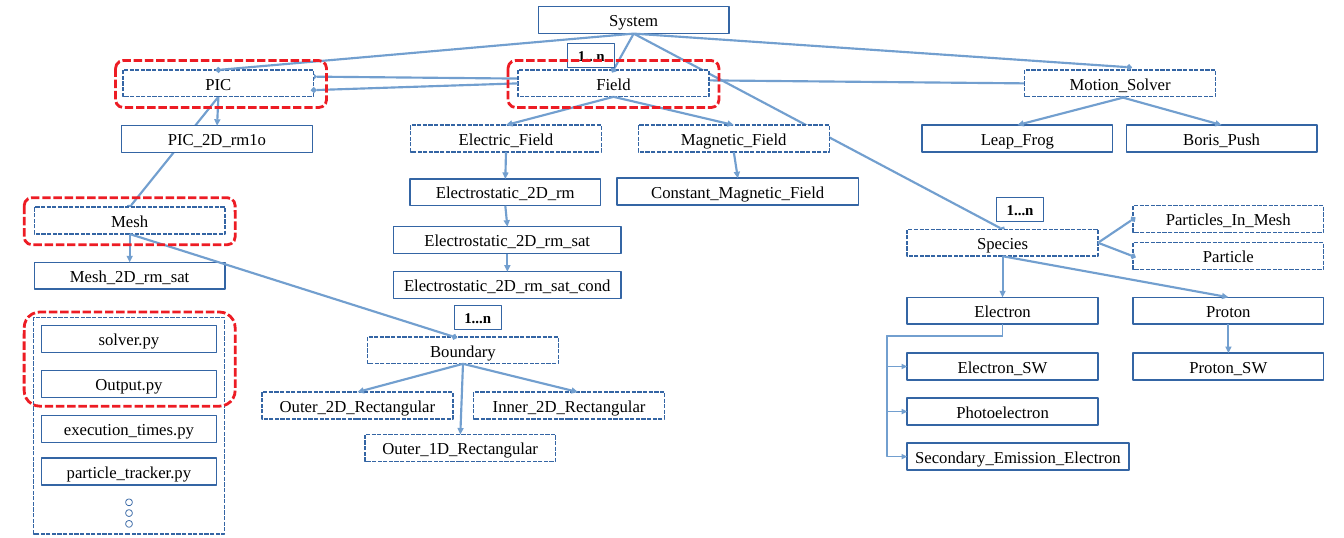
from lxml.etree import SubElement
from pptx import Presentation
from pptx.dml.color import RGBColor
from pptx.enum.dml import MSO_LINE
from pptx.enum.shapes import MSO_CONNECTOR, MSO_SHAPE
from pptx.enum.text import MSO_ANCHOR, PP_ALIGN
from pptx.oxml.ns import qn
from pptx.util import Pt

PX = 9144
WHITE = RGBColor(0xFF, 0xFF, 0xFF)
BLACK = RGBColor(0x00, 0x00, 0x00)
BORDER = RGBColor(0x34, 0x65, 0xA4)
ARROW = RGBColor(0x72, 0x9F, 0xCF)
RED = RGBColor(0xED, 0x1C, 0x24)

BOX_WIDTH, BOX_HEIGHT = 284, 40
TOP, LEFT, BOTTOM, RIGHT = range(4)

ABSTRACT_CLASSES = [
    ("Mesh", 51, 308), ("PIC", 183, 104), ("Species", 1350, 341),
    ("Particles_In_Mesh", 1686, 306), ("Particle", 1686, 361),
    ("Field", 771, 104), ("Electric_Field", 611, 186),
    ("Magnetic_Field", 950, 186), ("Motion_Solver", 1525, 104),
    ("Boundary", 547, 501), ("Outer_2D_Rectangular", 390, 583),
    ("Inner_2D_Rectangular", 705, 583), ("Outer_1D_Rectangular", 543, 646),
]
CONCRETE_CLASSES = [
    ("System", 801, 10), ("Mesh_2D_rm_sat", 51, 390),
    ("PIC_2D_rm1o", 181, 187), ("Electron", 1350, 442),
    ("Proton", 1686, 442), ("Electron_SW", 1350, 525),
    ("Proton_SW", 1686, 525), ("Electrostatic_2D_rm", 610, 266),
    ("Electrostatic_2D_rm_sat", 586, 337, 338),
    ("Electrostatic_2D_rm_sat_cond", 586, 404, 338),
    ("Constant_Magnetic_Field", 918, 265, 360),
    ("Leap_Frog", 1372, 186), ("Boris_Push", 1676, 186),
    ("Photoelectron", 1350, 592), ("Secondary_Emission_Electron", 1350, 659, 330),
]
FILES = [("solver.py", 62, 484, 260), ("Output.py", 62, 551, 260),
         ("execution_times.py", 62, 618, 260), ("particle_tracker.py", 62, 681, 260)]
FILE_PANEL = (50, 472, 284, 322)
DOTS = [(187, 742 + 16 * step, 10, 10) for step in range(3)]
COUNTS = [(676, 454), (845, 65), (1483, 293)]
HIGHLIGHTS = [(172, 90, 314, 70), (36, 294, 314, 70),
              (756, 90, 314, 70), (36, 464, 314, 140)]

BACK_LINKS = [
    ("PIC", BOTTOM, "Mesh", TOP),
    ("System", BOTTOM, "Species", TOP),
    ("Motion_Solver", LEFT, (467, 114), None),
]
PART_LINKS = [
    ("System", BOTTOM, "PIC", TOP),
    ("System", BOTTOM, "Field", TOP),
    ("System", BOTTOM, (1680, 100), None),
    ("Field", LEFT, (467, 134), None),
    ("Mesh", BOTTOM, (676, 501), None),
    ("Species", RIGHT, "Particles_In_Mesh", LEFT),
    ("Species", RIGHT, "Particle", LEFT),
]
CHILD_LINKS = [(parent, BOTTOM, child, TOP) for parent, child in [
    ("PIC", "PIC_2D_rm1o"), ("Mesh", "Mesh_2D_rm_sat"),
    ("Field", "Electric_Field"), ("Field", "Magnetic_Field"),
    ("Boundary", "Outer_2D_Rectangular"), ("Boundary", "Outer_1D_Rectangular"),
    ("Electric_Field", "Electrostatic_2D_rm"),
    ("Electrostatic_2D_rm", "Electrostatic_2D_rm_sat"),
    ("Electrostatic_2D_rm_sat", "Electrostatic_2D_rm_sat_cond"),
    ("Magnetic_Field", "Constant_Magnetic_Field"),
    ("Species", "Electron"), ("Species", "Proton"), ("Proton", "Proton_SW"),
    ("Motion_Solver", "Boris_Push"),
]] + [
    ("Boundary", BOTTOM, (860, 583), None),
    ((1676, 144), None, "Leap_Frog", TOP),
]
ELBOW_START = (1492, 482)
ELBOW_LEFT, ELBOW_DROP, ELBOW_OVERHANG = 1350, 18, 30
ELBOW_ENDS = [545, 612, 679]

deck = Presentation()
deck.slide_width, deck.slide_height = 2000 * PX, 800 * PX
page = deck.slides.add_slide(deck.slide_layouts[6])


def add_outline(kind, bounds, color, weight, fill=WHITE, dashed=False):
    shape = page.shapes.add_shape(kind, *(length * PX for length in bounds))
    shape.shadow.inherit = False
    if fill is None:
        shape.fill.background()
    else:
        shape.fill.solid()
        shape.fill.fore_color.rgb = fill
    shape.line.color.rgb = color
    shape.line.width = Pt(weight)
    if dashed:
        shape.line.dash_style = MSO_LINE.SQUARE_DOT
    return shape


def write(box, text, size, bold, frame_format):
    frame = box.text_frame
    for name, value in frame_format.items():
        setattr(frame, name, value)
    para = frame.paragraphs[0]
    para.alignment = PP_ALIGN.CENTER
    span = para.add_run()
    span.text = text
    for name, value in dict(name="Times New Roman", size=Pt(size), bold=bold).items():
        setattr(span.font, name, value)
    span.font.color.rgb = BLACK


def add_class(text, left, top, width=BOX_WIDTH, dashed=False):
    box = add_outline(MSO_SHAPE.RECTANGLE, (left, top, width, BOX_HEIGHT),
                      BORDER, 1.5, dashed=dashed)
    write(box, text, 17.9, False, dict(
        word_wrap=False, vertical_anchor=MSO_ANCHOR.MIDDLE,
        margin_left=11 * PX, margin_right=11 * PX,
        margin_top=6 * PX, margin_bottom=6 * PX))
    return box


def style_line(line, weight, head):
    line.line.color.rgb = ARROW
    line.line.width = Pt(weight)
    properties = line.element.spPr
    SubElement(properties.find(qn("a:ln")), qn("a:tailEnd"), type=head)
    SubElement(properties, qn("a:effectLst"))


def add_link(boxes, start, start_side, end, end_side, head):
    points = [(0, 0) if isinstance(spot, str) else spot for spot in (start, end)]
    line = page.shapes.add_connector(
        MSO_CONNECTOR.STRAIGHT, *(length * PX for point in points for length in point))
    if start_side is not None:
        line.begin_connect(boxes[start], start_side)
    if end_side is not None:
        line.end_connect(boxes[end], end_side)
    style_line(line, 2.3, head)
    return line


def add_elbow(end_y):
    start_x, start_y = ELBOW_START
    across, down = start_x - ELBOW_LEFT, end_y - start_y
    left = (start_x + ELBOW_LEFT - down) * PX // 2
    top = (start_y + end_y - across) * PX // 2
    line = page.shapes.add_connector(
        MSO_CONNECTOR.ELBOW, left, top, left + down * PX, top + across * PX)
    properties = line.element.spPr
    properties.find(qn("a:xfrm")).set("rot", "5400000")
    geometry = properties.find(qn("a:prstGeom"))
    geometry.set("prst", "bentConnector4")
    ratios = (ELBOW_DROP / down, (across + ELBOW_OVERHANG) / across)
    for number, ratio in enumerate(ratios, 1):
        SubElement(geometry.find(qn("a:avLst")), qn("a:gd"),
                   name=f"adj{number}", fmla=f"val {round(ratio * 100000)}")
    style_line(line, 1.5, "triangle")


add_outline(MSO_SHAPE.RECTANGLE, FILE_PANEL, BORDER, 1.5, dashed=True)
boxes = {}
for entries, dashed in ((ABSTRACT_CLASSES, True), (CONCRETE_CLASSES + FILES, False)):
    for entry in entries:
        boxes[entry[0]] = add_class(*entry, dashed=dashed)
for bounds in DOTS:
    add_outline(MSO_SHAPE.OVAL, bounds, BORDER, 0.79)

for link in BACK_LINKS:
    element = add_link(boxes, *link, "diamond").element
    element.getparent().insert(2, element)
for links, head in ((PART_LINKS, "diamond"), (CHILD_LINKS, "triangle")):
    for link in links:
        add_link(boxes, *link, head)
for end_y in ELBOW_ENDS:
    add_elbow(end_y)

for left, top in COUNTS:
    count = add_outline(MSO_SHAPE.RECTANGLE, (left, top, 70, 36), BORDER, 0.79)
    write(count, "1...n", 16, True, dict(
        word_wrap=True, vertical_anchor=MSO_ANCHOR.TOP,
        margin_left=10 * PX, margin_right=10 * PX,
        margin_top=5 * PX, margin_bottom=5 * PX))
for bounds in HIGHLIGHTS:
    add_outline(MSO_SHAPE.ROUNDED_RECTANGLE, bounds, RED, 3, fill=None, dashed=True)

deck.save("out.pptx")
